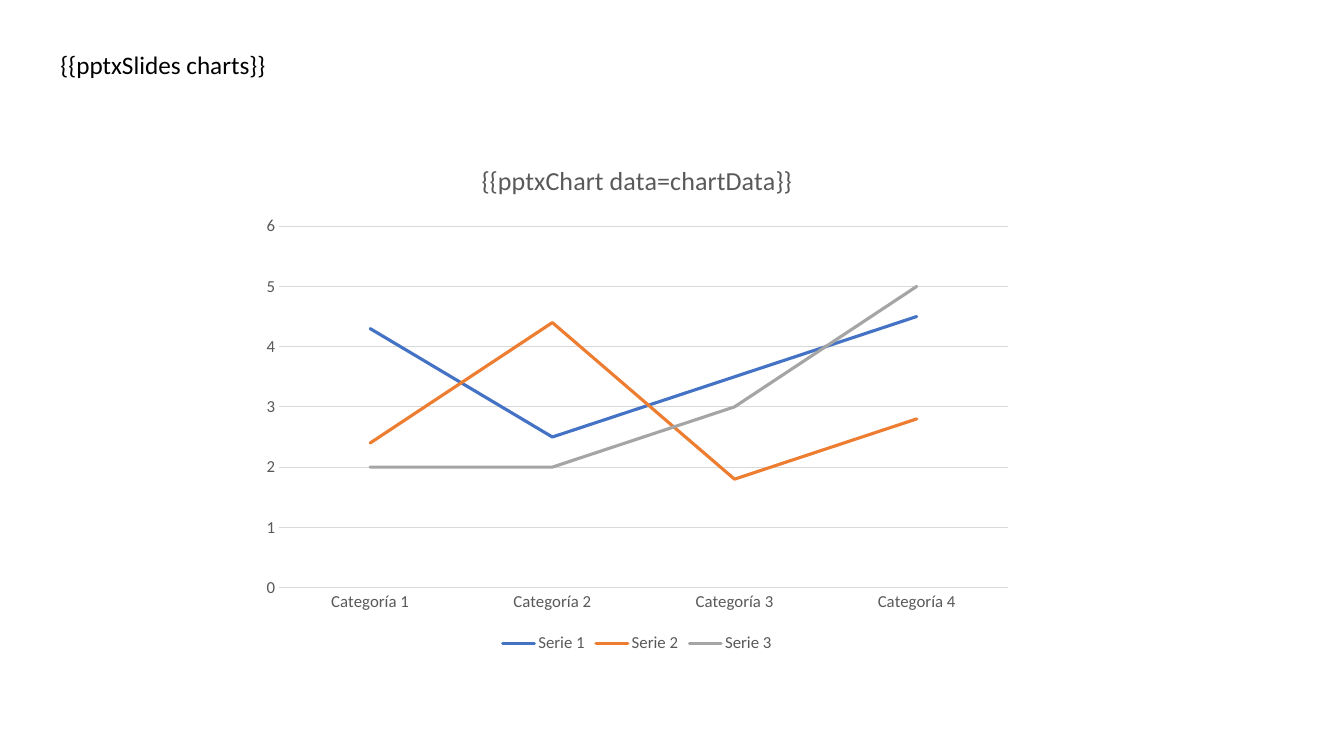
from lxml.etree import SubElement
from pptx import Presentation
from pptx.chart.data import CategoryChartData
from pptx.dml.color import RGBColor
from pptx.enum.chart import XL_CHART_TYPE, XL_LEGEND_POSITION, XL_MARKER_STYLE, XL_TICK_MARK
from pptx.enum.text import MSO_ANCHOR, MSO_AUTO_SIZE, PP_ALIGN
from pptx.oxml.ns import qn
from pptx.util import Inches, Pt

BLACK = RGBColor(0x00, 0x00, 0x00)
GRAY = RGBColor(0x59, 0x59, 0x59)
RULE = RGBColor(0xD9, 0xD9, 0xD9)
BLUE = RGBColor(0x44, 0x72, 0xC4)
ORANGE = RGBColor(0xED, 0x7D, 0x31)
SILVER = RGBColor(0xA5, 0xA5, 0xA5)

CATS = [f"Categoría {n}" for n in range(1, 5)]
SERIES = [
    ("Serie 1", BLUE, (4.3, 2.5, 3.5, 4.5)),
    ("Serie 2", ORANGE, (2.4, 4.4, 1.8, 2.8)),
    ("Serie 3", SILVER, (2, 2, 3, 5)),
]


def style(font, size=12, color=GRAY, name="Calibri", bold=False):
    font.name, font.size, font.bold = name, Pt(size), bold
    font.color.rgb = color


def write(frame, text, align=None, **form):
    """Fill a text frame with one paragraph; form goes to style."""
    frame.text = text
    para = frame.paragraphs[0]
    para.alignment = align
    style(para.runs[0].font, **form)


def stroke(line, color, width=0.75):
    line.color.rgb = color
    line.width = Pt(width)


class Deck:
    def __init__(self):
        self.show = Presentation()
        self.show.slide_width = Inches(13.33)
        self.show.slide_height = Inches(7.5)
        self.slide = self.show.slides.add_slide(self.show.slide_layouts[5])

    def area(self, left, top, width, height):
        """Turn percentages of the slide into lengths."""
        wide, high = self.show.slide_width, self.show.slide_height
        return [int(share * full / 100) for share, full in
                zip((left, top, width, height), (wide, high, wide, high))]

    def title(self, text, *place):
        box = self.slide.shapes.title
        box.left, box.top, box.width, box.height = self.area(*place)
        frame = box.text_frame
        frame.word_wrap = True
        frame.auto_size = MSO_AUTO_SIZE.SHAPE_TO_FIT_TEXT
        frame.vertical_anchor = MSO_ANCHOR.TOP
        write(frame, text, align=PP_ALIGN.LEFT, size=18, color=BLACK)

    def chart(self, text, *place):
        data = CategoryChartData()
        data.categories = CATS
        for name, _, vals in SERIES:
            data.add_series(name, vals)
        chart = self.slide.shapes.add_chart(
            XL_CHART_TYPE.LINE, *self.area(*place), data).chart
        style(chart.font, size=10, color=BLACK)
        write(chart.chart_title.text_frame, text, size=18.6)
        chart.chart_title.include_in_layout = False
        chart.has_legend = True
        chart.legend.position = XL_LEGEND_POSITION.BOTTOM
        chart.legend.include_in_layout = False
        style(chart.legend.font)
        self.axes(chart)
        plot = chart.plots[0]
        plot.vary_by_categories = False
        for line, (_, color, _) in zip(plot.series, SERIES):
            line.smooth = False
            line.marker.style = XL_MARKER_STYLE.NONE
            stroke(line.format.line, color, 2.25)
            SubElement(line.format.line._get_or_add_ln(), qn("a:round"))
            line.format.line._get_or_add_ln().set("cap", "rnd")

    def axes(self, chart):
        cat, val = chart.category_axis, chart.value_axis
        for axis in (cat, val):
            axis.major_tick_mark = axis.minor_tick_mark = XL_TICK_MARK.NONE
            style(axis.tick_labels.font)
        stroke(cat.format.line, RULE)
        val.format.line.fill.background()
        val.has_major_gridlines = True
        stroke(val.major_gridlines.format.line, RULE)
        val.minimum_scale, val.maximum_scale, val.major_unit = 0, 6, 1


def main():
    deck = Deck()
    deck.title("{{pptxSlides charts}}", 3.75, 5.87, 33.23, 5.33)
    deck.chart("{{pptxChart data=chartData}}", 18.68, 18.8, 57.46, 68.13)
    deck.show.save("out.pptx")


if __name__ == "__main__":
    main()
